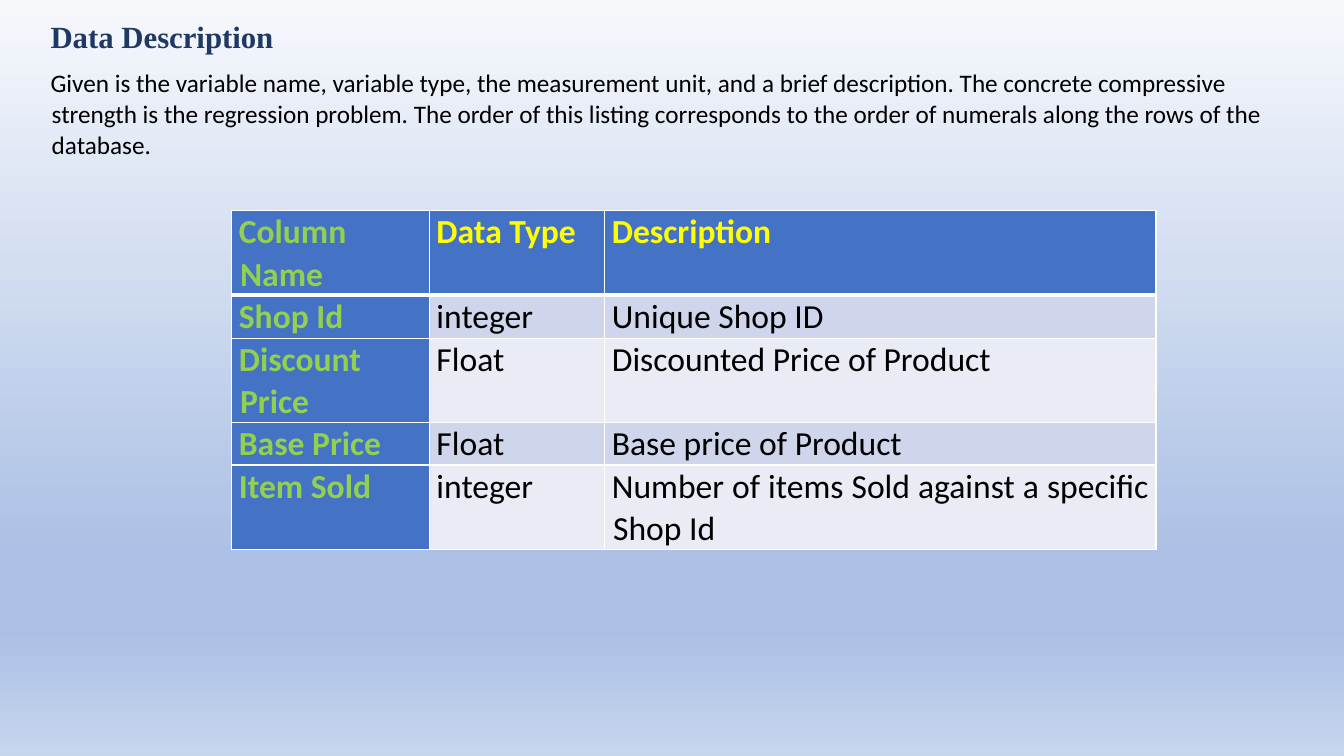
from dataclasses import dataclass
from typing import NamedTuple

from lxml import etree
from pptx import Presentation
from pptx.dml.color import RGBColor
from pptx.enum import text as txt
from pptx.oxml import ns
from pptx.util import Cm, Pt


@dataclass(frozen=True)
class Style:
    font: str
    size: float
    color: str
    bold: bool = False


@dataclass(frozen=True)
class Theme:
    heading: Style = Style("Times New Roman", 22, "203864", True)
    intro: Style = Style("Calibri", 18, "000000")
    name: Style = Style("Calibri", 24, "92D050", True)
    header: Style = Style("Calibri", 24, "FFFF00", True)
    value: Style = Style("Calibri", 24, "000000")
    accent: str = "4472C4"
    bands: tuple[str, str] = ("CFD5EA", "E9EBF5")
    border: str = "FFFFFF"
    backdrop: tuple[tuple[int, str], ...] = (
        (0, "F6F8FC"), (74, "ABC0E4"), (83, "ABC0E4"), (100, "C7D5ED"))


class Variable(NamedTuple):
    name: str
    data_type: str
    description: str


class Box(NamedTuple):
    left: float
    top: float
    width: float
    height: float


THEME = Theme()
HEADING_BOX = Box(1.02, 0.3, 31.04, 1.22)
INTRO_BOX = Box(1.02, 1.55, 31.04, 2.54)
TABLE_BOX = Box(5.84, 5.31, 23.29, 5.56)
COLUMN_WIDTHS = (4.98, 4.42, 13.89)
ROW_HEIGHTS = (1.07, 1.09, 0.86, 0.86, 1.68)

INTRO = (
    "Given is the variable name, variable type, the measurement unit, and a brief "
    "description. The concrete compressive strength is the regression problem. The "
    "order of this listing corresponds to the order of numerals along the rows of "
    "the database."
)
VARIABLES = (
    Variable("Column Name", "Data Type", "Description"),
    Variable("Shop Id", "integer", "Unique Shop ID"),
    Variable("Discount Price", "Float", "Discounted Price of Product"),
    Variable("Base Price", "Float", "Base price of Product"),
    Variable("Item Sold", "integer", "Number of items Sold against a specific Shop Id"),
)


def paint_background(slide) -> None:
    fill = slide.background.fill
    fill.gradient()
    fill.gradient_angle = 270
    stops = slide.element.find(".//" + ns.qn("a:gsLst"))
    for default_stop in list(stops):
        stops.remove(default_stop)
    for percent, color in THEME.backdrop:
        stop = etree.SubElement(stops, ns.qn("a:gs"), pos=str(percent * 1000))
        etree.SubElement(stop, ns.qn("a:srgbClr"), val=color)


def write(frame, wording: str, style: Style, align: txt.PP_ALIGN) -> None:
    """Fill the first paragraph with one run and the slide's common spacing."""
    paragraph = frame.paragraphs[0]
    paragraph.alignment = align
    paragraph.line_spacing = 1.03
    paragraph.space_before = Pt(0)
    paragraph.space_after = Pt(6.3)
    properties = paragraph._p.get_or_add_pPr()
    properties.set("marL", str(Cm(0.03)))
    properties.set("indent", str(-Cm(0.03)))
    etree.SubElement(properties, ns.qn("a:buNone"))
    run = paragraph.add_run()
    run.text = wording
    run.font.name = style.font
    run.font.size = Pt(style.size)
    run.font.bold = style.bold
    run.font.color.rgb = RGBColor.from_string(style.color)


def place_text(placeholder, box: Box, wording: str, style: Style) -> None:
    placeholder.left, placeholder.top, placeholder.width, placeholder.height = map(Cm, box)
    frame = placeholder.text_frame
    frame.word_wrap = True
    frame.auto_size = txt.MSO_AUTO_SIZE.NONE
    frame.vertical_anchor = txt.MSO_ANCHOR.TOP
    write(frame, wording, style, txt.PP_ALIGN.LEFT)


def add_borders(cell, bottom_width: float) -> None:
    properties = cell._tc.get_or_add_tcPr()
    for side, width in (("L", 1), ("R", 1), ("T", 1), ("B", bottom_width)):
        line = etree.SubElement(properties, ns.qn(f"a:ln{side}"), w=str(Pt(width)))
        solid = etree.SubElement(line, ns.qn("a:solidFill"))
        etree.SubElement(solid, ns.qn("a:srgbClr"), val=THEME.border)


def cell_look(row: int, column: int) -> tuple[Style, str]:
    """Text style and fill colour for a table position."""
    if column == 0:
        return THEME.name, THEME.accent
    if row == 0:
        return THEME.header, THEME.accent
    return THEME.value, THEME.bands[(row - 1) % 2]


def add_variable_table(slide) -> None:
    table = slide.shapes.add_table(
        len(VARIABLES), len(COLUMN_WIDTHS), *map(Cm, TABLE_BOX)).table
    table.first_col = True
    for column, width in zip(table.columns, COLUMN_WIDTHS):
        column.width = Cm(width)
    for row, height in zip(table.rows, ROW_HEIGHTS):
        row.height = Cm(height)
    for r, variable in enumerate(VARIABLES):
        for c, wording in enumerate(variable):
            cell = table.cell(r, c)
            style, fill = cell_look(r, c)
            cell.margin_left = cell.margin_right = Cm(0.18)
            cell.margin_top = cell.margin_bottom = 0
            add_borders(cell, 3 if r == 0 else 1)
            cell.fill.solid()
            cell.fill.fore_color.rgb = RGBColor.from_string(fill)
            write(cell.text_frame, wording, style, txt.PP_ALIGN.JUSTIFY)


def main() -> None:
    deck = Presentation()
    deck.slide_width, deck.slide_height = Cm(33.87), Cm(19.05)
    slide = deck.slides.add_slide(deck.slide_layouts[1])
    paint_background(slide)
    place_text(slide.shapes.title, HEADING_BOX, "Data Description", THEME.heading)
    place_text(slide.placeholders[1], INTRO_BOX, INTRO, THEME.intro)
    add_variable_table(slide)
    deck.save("out.pptx")


if __name__ == "__main__":
    main()
